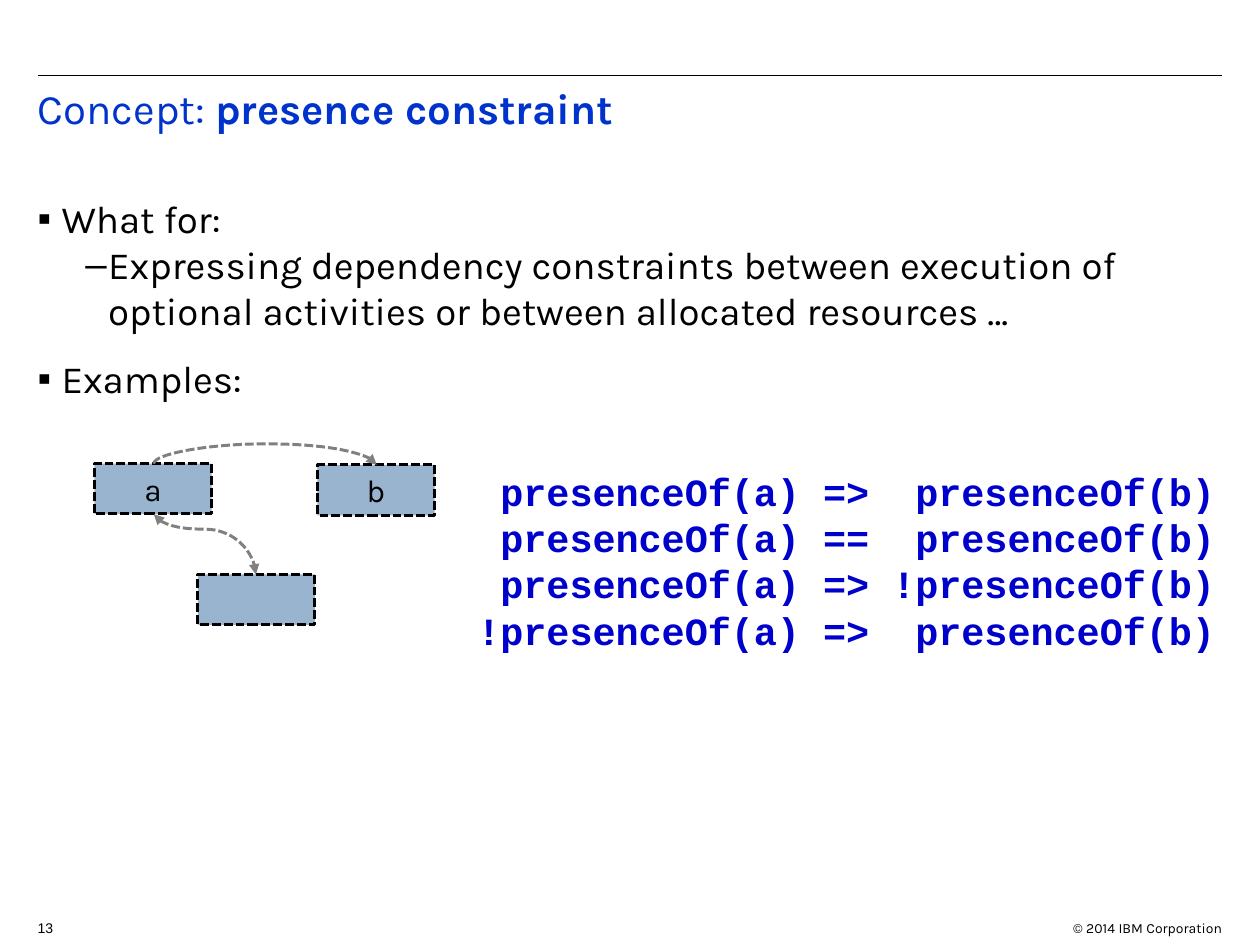
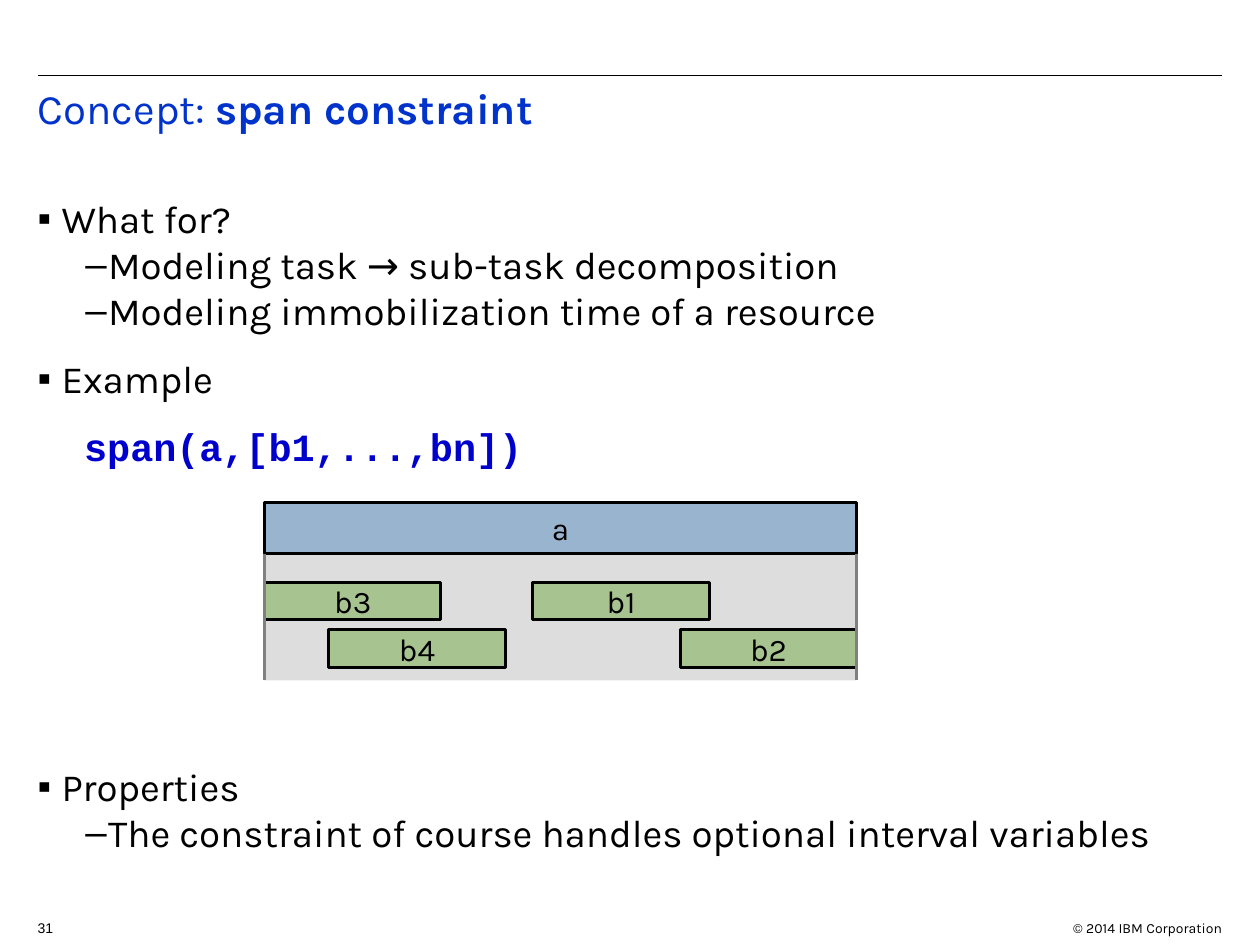
import pptx
import pptx.dml.color
import pptx.enum.dml
import pptx.enum.shapes
import pptx.enum.text
import pptx.oxml.ns
import pptx.oxml.xmlchemy
import pptx.util
from lxml import etree

Inches = pptx.util.Inches
Pt = pptx.util.Pt
qn = pptx.oxml.ns.qn
ALIGN = pptx.enum.text.PP_ALIGN
ANCHOR = pptx.enum.text.MSO_ANCHOR
CONNECTOR = pptx.enum.shapes.MSO_CONNECTOR
DASHED = pptx.enum.dml.MSO_LINE.SQUARE_DOT

COLORS = {
    "text": "000000",
    "title": "0033CC",
    "code": "0000CC",
    "task": "004586",
    "subtask": "579D1C",
    "span": "DDDDDD",
    "guide": "808080",
}
TEXT_FONT = "Karla"
CODE_FONT = "Courier New"
CODE_STYLE = {"font": CODE_FONT, "color": "code", "bold": True}
LINE_PITCH = 26.3
LINE_WIDTH = 1.7

# Bullet character, left margin and hanging indent for each level
BULLETS = [("▪", 0.19, -0.19), ("–", 0.56, -0.18)]


def rgb(name):
    return pptx.dml.color.RGBColor.from_string(COLORS[name])


# Text
def add_run(paragraph, text, size=22, font=TEXT_FONT, color="text", bold=False):
    run = paragraph.add_run()
    run.text = text
    run.font.size = Pt(size)
    run.font.name = font
    run.font.bold = bold
    run.font.color.rgb = rgb(color)


def add_text_box(slide, left, top, width, height, wrap=True):
    box = slide.shapes.add_textbox(Inches(left), Inches(top), Inches(width), Inches(height))
    box.text_frame.word_wrap = wrap
    return box.text_frame


def add_paragraph(frame, text, space_before=0, **style):
    """Add a body line; the first one takes the paragraph that is already there."""
    first = frame.paragraphs[0]
    paragraph = frame.add_paragraph() if first.runs else first
    paragraph.line_spacing = Pt(LINE_PITCH)
    paragraph.space_before = Pt(space_before)
    add_run(paragraph, text, **style)
    return paragraph


def set_indent(paragraph, margin, indent=0):
    properties = paragraph._p.get_or_add_pPr()
    properties.set("marL", str(Inches(margin)))
    properties.set("indent", str(Inches(indent)))
    return properties


def add_bullet(frame, text, level=0, space_before=0):
    character, margin, indent = BULLETS[level]
    paragraph = add_paragraph(frame, text, space_before)
    paragraph.level = level
    properties = set_indent(paragraph, margin, indent)
    color = etree.SubElement(properties, qn("a:buClr"))
    etree.SubElement(color, qn("a:srgbClr"), val=COLORS["text"])
    etree.SubElement(properties, qn("a:buFont"), typeface="Arial")
    etree.SubElement(properties, qn("a:buChar"), char=character)


# Shapes and lines
def add_box(slide, left, top, width, height, fill, label="", opacity=40,
            outlined=True, dash=None):
    shape = slide.shapes.add_shape(
        pptx.enum.shapes.MSO_SHAPE.RECTANGLE,
        Inches(left), Inches(top), Inches(width), Inches(height))
    shape.shadow.inherit = False
    shape.fill.solid()
    shape.fill.fore_color.rgb = rgb(fill)
    if opacity < 100:
        color = shape._element.spPr.find(qn("a:solidFill")).find(qn("a:srgbClr"))
        etree.SubElement(color, qn("a:alpha"), val=str(opacity * 1000))
    if outlined:
        shape.line.color.rgb = rgb("text")
        shape.line.width = Pt(LINE_WIDTH)
        shape.line.dash_style = dash
    else:
        shape.line.fill.background()
    if label:
        shape.text_frame.vertical_anchor = ANCHOR.MIDDLE
        paragraph = shape.text_frame.paragraphs[0]
        paragraph.alignment = ALIGN.CENTER
        add_run(paragraph, label, size=18)


def add_line(slide, start, end, color="guide", width=LINE_WIDTH, kind=CONNECTOR.STRAIGHT):
    points = [Inches(value) for value in (*start, *end)]
    line = slide.shapes.add_connector(kind, *points)
    line.line.color.rgb = rgb(color)
    line.line.width = Pt(width)
    etree.SubElement(line._element.spPr, qn("a:effectLst"))
    return line


def add_curved_arrow(slide, start, end, bend, ends=("tailEnd",)):
    """Curve that leaves and arrives vertically, turning at bend inches below start."""
    run, rise = end[0] - start[0], end[1] - start[1]
    middle_x, middle_y = (start[0] + end[0]) / 2, (start[1] + end[1]) / 2
    # Laid out on its side, then turned a quarter to the left
    arrow = add_line(slide,
                     (middle_x + rise / 2, middle_y - run / 2),
                     (middle_x - rise / 2, middle_y + run / 2),
                     kind=CONNECTOR.CURVE)
    arrow.line.dash_style = DASHED
    properties = arrow._element.spPr
    properties.find(qn("a:xfrm")).set("rot", str(270 * 60000))
    adjustments = properties.find(qn("a:prstGeom")).find(qn("a:avLst"))
    etree.SubElement(adjustments, qn("a:gd"), name="adj1",
                     fmla=f"val {round(bend / rise * 100000)}")
    for arrowhead in ends:
        etree.SubElement(properties.find(qn("a:ln")), qn(f"a:{arrowhead}"), type="triangle")


# Frame shared by both slides
def add_concept_slide(presentation, concept, number):
    slide = presentation.slides.add_slide(presentation.slide_layouts[5])
    add_line(slide, (0.3, 0.6), (9.7, 0.6), color="text", width=0.75)

    title = slide.shapes.title
    title.left, title.top = Inches(0.2), Inches(0.65)
    title.width, title.height = Inches(9.8), Inches(0.7)
    title.text_frame.vertical_anchor = ANCHOR.TOP
    paragraph = title.text_frame.paragraphs[0]
    paragraph.alignment = ALIGN.LEFT
    paragraph.line_spacing = 0.9
    add_run(paragraph, "Concept: ", size=24, color="title")
    add_run(paragraph, concept, size=24, color="title", bold=True)

    page = add_text_box(slide, 0.2, 7.25, 0.4, 0.23)
    add_run(page.paragraphs[0], str(number), size=8, font="Arial")
    notice = add_text_box(slide, 8.3, 7.25, 1.5, 0.2).paragraphs[0]
    notice.alignment = ALIGN.RIGHT
    add_run(notice, "© 2014 IBM Corporation", size=8)
    return slide


def build_presence_slide(presentation):
    slide = add_concept_slide(presentation, "presence constraint", 13)
    body = add_text_box(slide, 0.2, 1.5, 9.5, 5.6)
    add_bullet(body, "What for:")
    add_bullet(body, "Expressing dependency constraints between execution of optional "
                     "activities or between allocated resources …", level=1)
    add_bullet(body, "Examples:", space_before=12.5)

    # Optional activities and their dependencies
    for left, top, label in [(0.75, 3.68, "a"), (2.52, 3.69, "b"), (1.57, 4.56, "")]:
        add_box(slide, left, top, 0.93, 0.4, "task", label, dash=DASHED)
    add_curved_arrow(slide, (1.22, 3.68), (2.99, 3.69), bend=-0.16)
    add_curved_arrow(slide, (1.22, 4.08), (2.03, 4.56), bend=0.12,
                     ends=("headEnd", "tailEnd"))

    # Constraint expressions
    code = add_text_box(slide, 3.69, 3.67, 6.06, 1.56, wrap=False)
    for expression in [" presenceOf(a) =>  presenceOf(b)",
                       " presenceOf(a) ==  presenceOf(b)",
                       " presenceOf(a) => !presenceOf(b)",
                       "!presenceOf(a) =>  presenceOf(b)"]:
        add_paragraph(code, expression, **CODE_STYLE)


def build_span_slide(presentation):
    slide = add_concept_slide(presentation, "span constraint", 31)
    left, right, top, bottom = 2.1, 6.8, 4.4, 5.4
    add_box(slide, left, top, right - left, bottom - top, "span",
            opacity=100, outlined=False)

    body = add_text_box(slide, 0.2, 1.5, 9.3, 5.7)
    add_bullet(body, "What for?")
    add_bullet(body, "Modeling task → sub-task decomposition", level=1)
    add_bullet(body, "Modeling immobilization time of a resource", level=1)
    add_bullet(body, "Example", space_before=12.5)
    call = add_paragraph(body, "span(a,[b1,...,bn])", space_before=12.5, **CODE_STYLE)
    set_indent(call, 0.37)
    # The diagram sits in the space before this line
    add_bullet(body, "Properties", space_before=168)
    add_bullet(body, "The constraint of course handles optional interval variables", level=1)

    # Task a spans its sub-tasks
    add_box(slide, left, 3.99, right - left, 0.4, "task", "a")
    for bar_left, bar_top, label in [(left, 4.62, "b3"), (2.61, 5, "b4"),
                                     (4.23, 4.62, "b1"), (right - 1.4, 5, "b2")]:
        add_box(slide, bar_left, bar_top, 1.4, 0.3, "subtask", label)
    for edge in (left, right):
        add_line(slide, (edge, top), (edge, bottom))


def main():
    presentation = pptx.Presentation()
    presentation.slide_width = Inches(10)
    presentation.slide_height = Inches(7.5)
    build_presence_slide(presentation)
    build_span_slide(presentation)
    presentation.save("out.pptx")


if __name__ == "__main__":
    main()
